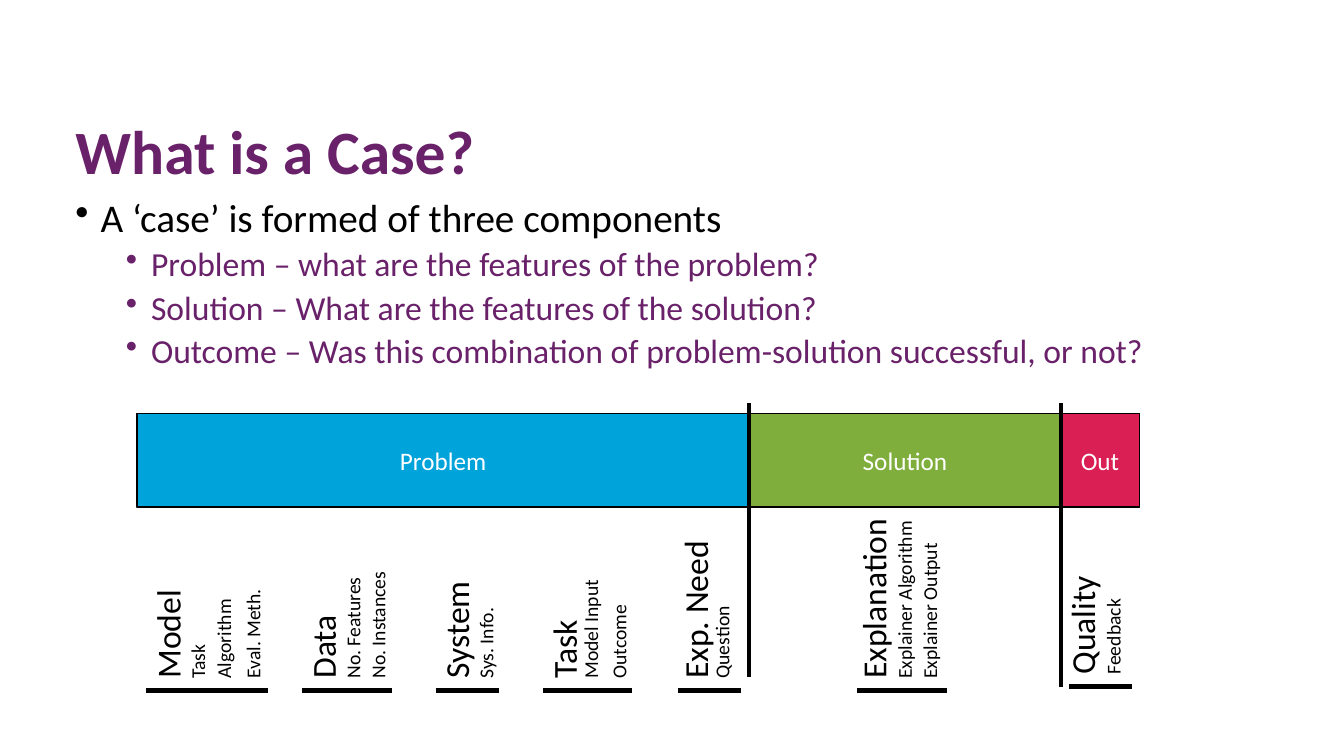
from dataclasses import dataclass

from lxml.etree import SubElement
from pptx import Presentation
from pptx.dml.color import RGBColor
from pptx.enum.shapes import MSO_CONNECTOR, MSO_SHAPE
from pptx.enum.text import MSO_ANCHOR, PP_ALIGN
from pptx.oxml.ns import qn
from pptx.util import Emu, Inches, Pt

CELL = 0.1
FONT = "Calibri"
BLACK, WHITE, PLUM = "000000", "FFFFFF", "69216A"
LEFT, WIDE = 6.5, 115
TOP, HIGH = 41, 9.3
REACH = 34.4


@dataclass(frozen=True)
class Part:
    """One coloured part of the case bar."""
    name: str
    left: float
    right: float
    fill: str
    edge: str


@dataclass(frozen=True)
class Trait:
    """A heading, its details and the rule beneath them."""
    name: str
    mid: float
    items: tuple[tuple[str, float], ...]
    left: float
    right: float
    base: float = 68.3
    rule: float = 68.5


PARTS = (
    Part("Problem", 13.6, 74.3, "00A3DA", "0079A1"),
    Part("Solution", 74.3, 105.2, "80AE3D", "5F812D"),
    Part("Out", 105.2, 113, "D91F53", "A1173D"),
)
TRAITS = (
    Trait("Model", 16.6, (("Task", 19.6), ("Algorithm", 22.2), ("Eval. Meth.", 25.1)), 14.5, 26.6),
    Trait("Data", 32, (("No. Features", 35), ("No. Instances", 37.5)), 30, 38.9),
    Trait("System", 45.2, (("Sys. Info.", 48.2),), 43.2, 49.5),
    Trait("Task", 55.9, (("Model Input", 58.6), ("Outcome", 61.4)), 53.9, 62.7),
    Trait("Exp. Need", 68.9, (("Question", 71.6),), 67.2, 73.5),
    Trait("Explanation", 86.6, (("Explainer Algorithm", 89.7), ("Explainer Output", 92.2)), 85, 93.9),
    Trait("Quality", 107.3, (("Feedback", 110.4),), 106, 112.3, 67.9, 68.1),
)
POINTS = (
    "Problem – what are the features of the problem?",
    "Solution – What are the features of the solution?",
    "Outcome – Was this combination of problem-solution successful, or not?",
)


def grid(count: float) -> Emu:
    """Turn a count of grid cells into a length."""
    return Inches(count * CELL)


def tint(code: str) -> RGBColor:
    """Turn a hex string into a colour."""
    return RGBColor.from_string(code)


def style(para, size: float, color: str = BLACK, bold: bool = False) -> None:
    """Set the font of a paragraph."""
    font = para.font
    font.name, font.size, font.bold = FONT, Pt(size), bold
    font.color.rgb = tint(color)


def write(shapes, text: str, box: tuple, size: float, color: str = BLACK, bold: bool = False):
    """Add a wrapped text box with one paragraph."""
    shape = shapes.add_textbox(*map(grid, box))
    frame = shape.text_frame
    frame.word_wrap = True
    para = frame.paragraphs[0]
    para.text = text
    style(para, size, color, bold)
    return shape


def dot(para, indent: float) -> None:
    """Give a paragraph a hanging bullet."""
    props = para._p.get_or_add_pPr()
    props.set("marL", str(grid(indent)))
    props.set("indent", str(grid(-2.5)))
    SubElement(props, qn("a:buChar"), char="•")
    para.line_spacing = 0.9


def rule(shapes, x: float, y: float, end: float, low: float) -> None:
    """Draw a thick black line."""
    line = shapes.add_connector(MSO_CONNECTOR.STRAIGHT, *map(grid, (x, y, end, low)))
    line.line.color.rgb = tint(BLACK)
    line.line.width = Pt(3)
    SubElement(line._element.spPr, qn("a:effectLst"))


def block(shapes, left: float, right: float, edge: str):
    """Add a rectangle on the bar's row."""
    shape = shapes.add_shape(MSO_SHAPE.RECTANGLE, *map(grid, (left, TOP, right - left, HIGH)))
    shape.shadow.inherit = False
    shape.line.color.rgb = tint(edge)
    shape.line.width = Pt(1)
    return shape


def fill(shapes, part: Part) -> None:
    """Draw one named part of the bar."""
    shape = block(shapes, part.left, part.right, part.edge)
    shape.fill.solid()
    shape.fill.fore_color.rgb = tint(part.fill)
    frame = shape.text_frame
    frame.vertical_anchor = MSO_ANCHOR.MIDDLE
    para = frame.paragraphs[0]
    para.text, para.alignment = part.name, PP_ALIGN.CENTER
    style(para, 18, WHITE)


def tall(shapes, text: str, mid: float, base: float, size: float, deep: float) -> None:
    """Write text that reads upwards from a base."""
    box = (mid - REACH / 2, base - REACH / 2 - deep / 2, REACH, deep)
    write(shapes, text, box, size).rotation = 270


def draw(shapes, trait: Trait) -> None:
    """Draw a trait as one group."""
    group = shapes.add_group_shape().shapes
    tall(group, trait.name, trait.mid, trait.base, 24, 5)
    for text, mid in trait.items:
        tall(group, text, mid, trait.base, 14, 3.4)
    rule(group, trait.left, trait.rule, trait.right, trait.rule)


def intro(shapes) -> None:
    """Write the title and the bullet list."""
    title = write(shapes, "What is a Case?", (LEFT, 11.2, WIDE, 8.3), 44, PLUM, True).text_frame
    title.vertical_anchor = MSO_ANCHOR.MIDDLE
    title.paragraphs[0].line_spacing = 0.9
    body = write(shapes, "A ‘case’ is formed of three components", (LEFT, 19.2, WIDE, 18.3), 28).text_frame
    dot(body.paragraphs[0], 2.5)
    for text in POINTS:
        para = body.add_paragraph()
        para.text, para.level = text, 1
        dot(para, 7.5)
        para.space_before = Pt(5)
        style(para, 24, PLUM)


def main() -> None:
    """Build and save the slide."""
    deck = Presentation()
    deck.slide_width, deck.slide_height = Inches(13.33), Inches(7.5)
    shapes = deck.slides.add_slide(deck.slide_layouts[6]).shapes
    intro(shapes)
    for part in reversed(PARTS):
        fill(shapes, part)
    block(shapes, PARTS[0].left, PARTS[-1].right, BLACK).fill.background()
    for part, low in zip(PARTS, (67.2, 68.2)):
        rule(shapes, part.right, TOP - 1, part.right, low)
    for trait in TRAITS:
        draw(shapes, trait)
    deck.save("out.pptx")


if __name__ == "__main__":
    main()
